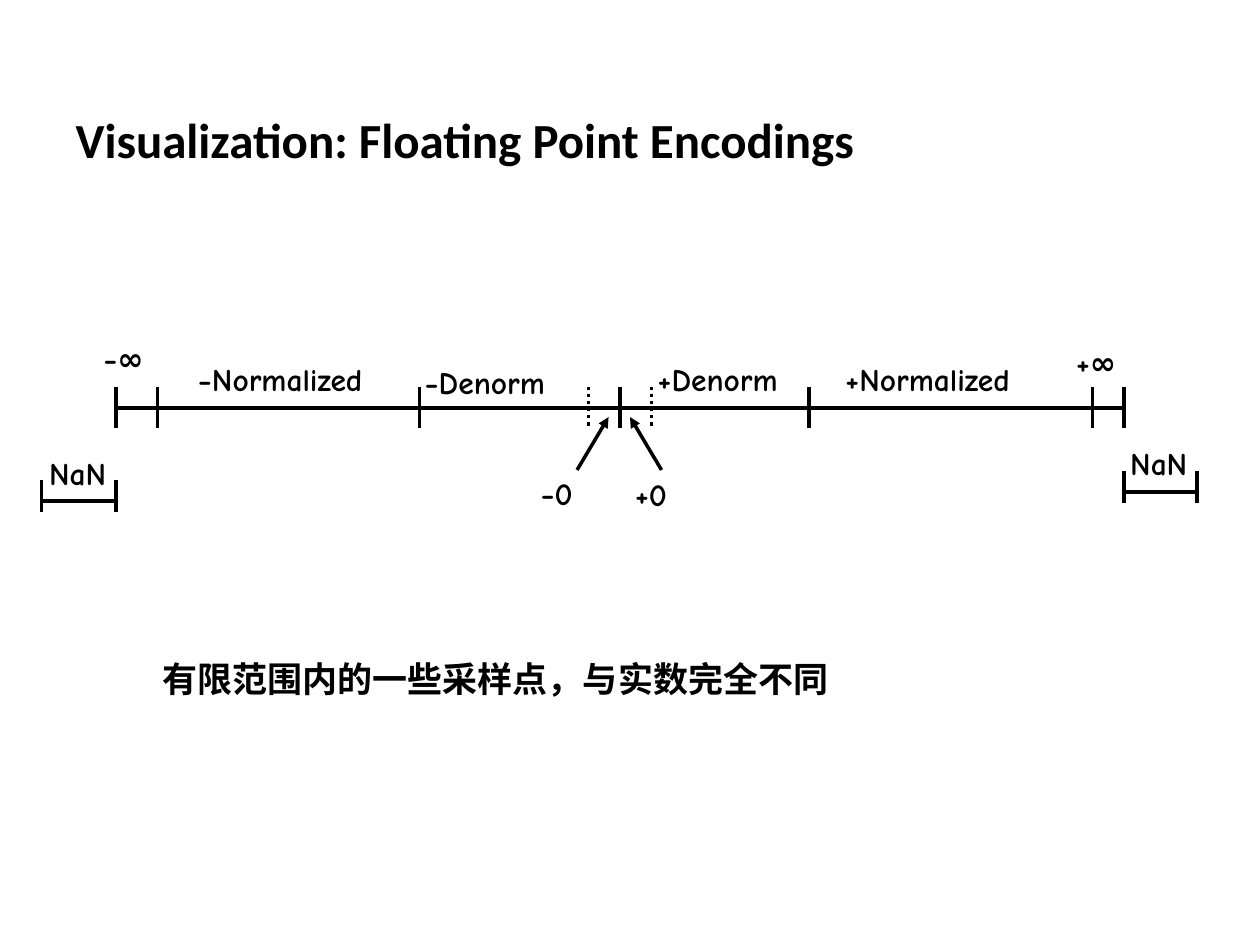
from pptx import Presentation
from pptx.dml.color import RGBColor
from pptx.enum import dml, shapes, text
from pptx.oxml.ns import qn
from pptx.util import Inches, Pt
from lxml import etree

COLORS = {"ink": "000000"}
TITLE = "Visualization: Floating Point Encodings"
REMARK = "有限范围内的一些采样点，与实数完全不同"

# Number line: tick positions along the axis, in inches
AXIS_Y, TICK_TOP, TICK_BOTTOM = 3.24, 3.07, 3.4
SOLID_TICKS = [0.92, 1.25, 3.33, 4.92, 6.42, 8.67, 8.92]
DOTTED_TICKS = [4.67, 5.17]

# NaN ranges: left, right, top of end ticks
NAN_RANGES = [(0.33, 0.92, 3.81), (8.92, 9.5, 3.74)]
NAN_TICK, NAN_BAR = 0.25, 0.165

# Arrows towards the two zeros: start, end
ZERO_ARROWS = [((4.58, 3.73), (4.83, 3.31)), ((5.25, 3.73), (5, 3.31))]

# Labels: words, left, top, width
LABELS = [
    ("−∞", 0.78, 2.65, 0.41),
    ("−Normalized", 1.53, 2.82, 1.51),
    ("−Denorm", 3.33, 2.84, 1.13),
    ("−0", 4.25, 3.72, 0.36),
    ("+0", 5, 3.73, 0.37),
    ("+Denorm", 5.18, 2.82, 1.13),
    ("+Normalized", 6.67, 2.82, 1.51),
    ("+∞", 8.5, 2.68, 0.41),
    ("NaN", 0.35, 3.56, 0.59),
    ("NaN", 8.93, 3.48, 0.59),
]
LABEL_HEIGHT, LABEL_INSET = 0.39, 0.04


def ink():
    return RGBColor.from_string(COLORS["ink"])


def write(frame, words, size, font_name):
    frame.text = words
    font = frame.paragraphs[0].runs[0].font
    font.size, font.name, font.bold = Pt(size), font_name, True
    font.color.rgb = ink()


def draw_line(slide, start, end, dotted=False, arrow=False):
    line = slide.shapes.add_connector(
        shapes.MSO_CONNECTOR.STRAIGHT, *map(Inches, (*start, *end)))
    line.line.color.rgb = ink()
    line.line.width = Pt(2)
    if dotted:
        line.line.dash_style = dml.MSO_LINE.ROUND_DOT
    if arrow:
        outline = line.line._get_or_add_ln()
        etree.SubElement(outline, qn("a:tailEnd"), type="triangle")
    etree.SubElement(line._element.spPr, qn("a:effectLst"))


def draw_tick(slide, x, top, bottom, dotted=False):
    draw_line(slide, (x, top), (x, bottom), dotted)


def add_text(slide, words, left, top, width, height, size, font_name):
    box = slide.shapes.add_textbox(*map(Inches, (left, top, width, height)))
    write(box.text_frame, words, size, font_name)
    return box.text_frame


def main():
    prs = Presentation()
    prs.slide_width, prs.slide_height = Inches(10), Inches(7.5)
    slide = prs.slides.add_slide(prs.slide_layouts[5])

    # Title
    title = slide.shapes.title
    title.left, title.top = Inches(0.5), Inches(0.5)
    title.width, title.height = Inches(8.84), Inches(1.2)
    write(title.text_frame, TITLE, 28, "Calibri")
    title.text_frame.vertical_anchor = text.MSO_ANCHOR.MIDDLE
    title.text_frame.paragraphs[0].alignment = text.PP_ALIGN.LEFT

    # Number line
    draw_line(slide, (SOLID_TICKS[0], AXIS_Y), (SOLID_TICKS[-1], AXIS_Y))
    for x in SOLID_TICKS:
        draw_tick(slide, x, TICK_TOP, TICK_BOTTOM)
    for x in DOTTED_TICKS:
        draw_tick(slide, x, TICK_TOP, TICK_BOTTOM, dotted=True)

    # NaN ranges outside the line
    for left, right, top in NAN_RANGES:
        draw_line(slide, (left, top + NAN_BAR), (right, top + NAN_BAR))
        for x in (left, right):
            draw_tick(slide, x, top, top + NAN_TICK)

    # Arrows to the zeros
    for start, end in ZERO_ARROWS:
        draw_line(slide, start, end, arrow=True)

    # Labels
    for words, left, top, width in LABELS:
        frame = add_text(slide, words, left, top, width, LABEL_HEIGHT, 18, "Comic Neue")
        frame.word_wrap = False
        frame.auto_size = text.MSO_AUTO_SIZE.SHAPE_TO_FIT_TEXT
        frame.margin_left = frame.margin_right = Inches(LABEL_INSET)
        frame.margin_top = frame.margin_bottom = Inches(LABEL_INSET)

    # Remark
    remark = add_text(slide, REMARK, 1.19, 5.17, 6.56, 0.44, 20, "Calibri")
    remark.word_wrap = True
    remark.auto_size = text.MSO_AUTO_SIZE.SHAPE_TO_FIT_TEXT

    prs.save("out.pptx")


if __name__ == "__main__":
    main()
